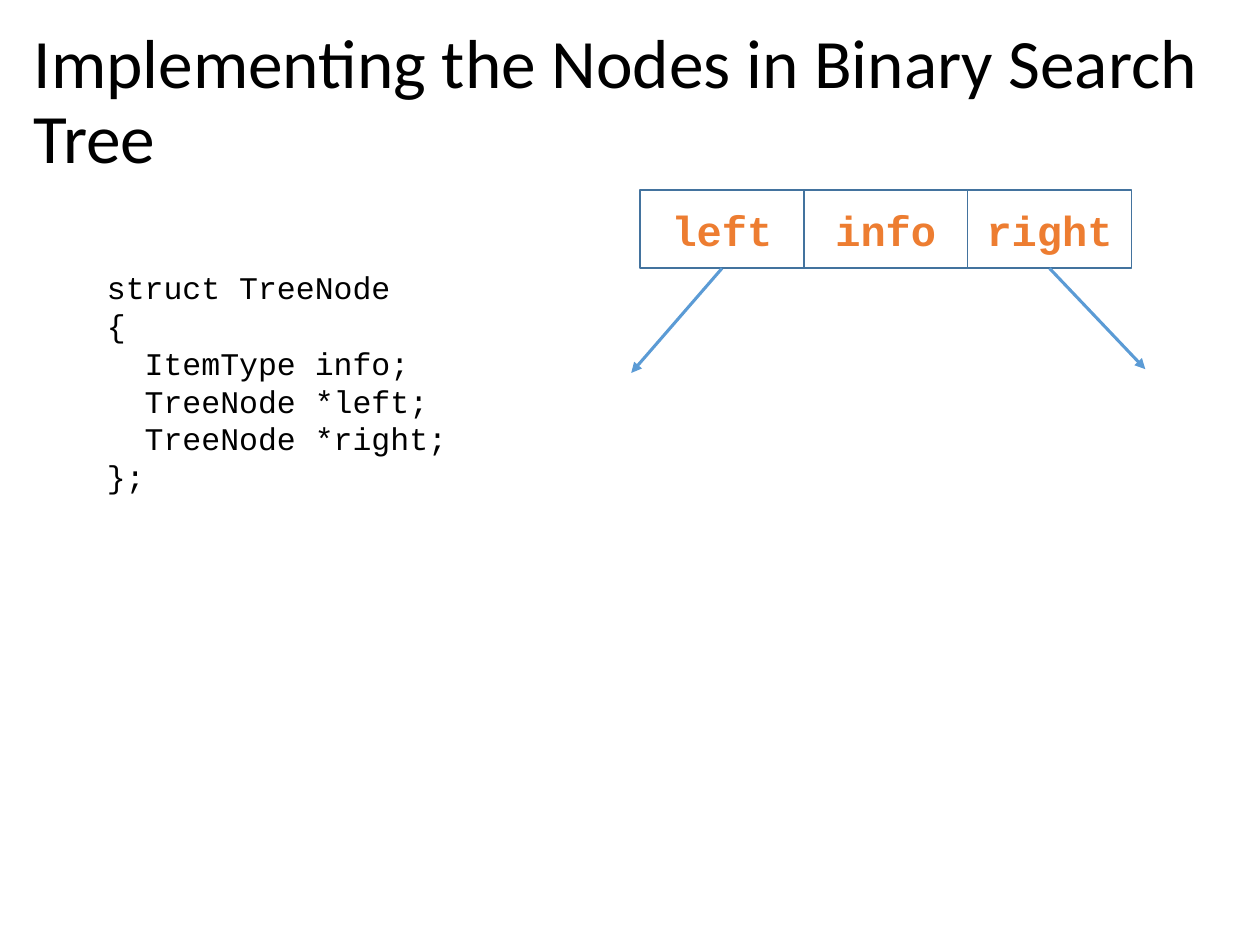
from lxml.etree import SubElement
from pptx import Presentation
from pptx.dml.color import RGBColor
from pptx.enum.shapes import MSO_CONNECTOR, MSO_SHAPE
from pptx.enum.text import MSO_ANCHOR, PP_ALIGN
from pptx.oxml.ns import qn
from pptx.util import Inches, Pt

# Content
TITLE = "Implementing the Nodes in Binary Search Tree"
CODE = [
    "struct TreeNode",
    "{",
    "  ItemType info;",
    "  TreeNode *left;",
    "  TreeNode *right;",
    "};",
]
FIELDS = ["left", "info", "right"]
POINTER_ENDS = {"left": (5.01, 2.96), "right": (9.09, 2.93)}

COLORS = {"text": "000000", "field": "ED7D31", "border": "43739E", "arrow": "5B9BD5"}
NODE_LEFT, NODE_TOP, FIELD_W, FIELD_H = 5.08, 1.51, 1.3, 0.62


def color(name):
    return RGBColor.from_string(COLORS[name])


def set_font(p, name, size, color_name, bold=False):
    p.font.name, p.font.size, p.font.bold = name, Pt(size), bold
    p.font.color.rgb = color(color_name)


def add_text(slide, box, lines, font, size, spacing=1.0):
    tf = slide.shapes.add_textbox(*map(Inches, box)).text_frame
    tf.word_wrap = True
    for i, line in enumerate(lines):
        p = tf.paragraphs[0] if i == 0 else tf.add_paragraph()
        p.text = line
        p.line_spacing = spacing
        set_font(p, font, size, "text")


def add_field(slide, index, name):
    box = (NODE_LEFT + index * FIELD_W, NODE_TOP, FIELD_W, FIELD_H)
    sp = slide.shapes.add_shape(MSO_SHAPE.RECTANGLE, *map(Inches, box))
    sp.shadow.inherit = False
    sp.fill.background()
    sp.line.color.rgb = color("border")
    sp.line.width = Pt(1)
    tf = sp.text_frame
    tf.vertical_anchor = MSO_ANCHOR.MIDDLE
    p = tf.paragraphs[0]
    p.text = name
    p.alignment = PP_ALIGN.CENTER
    set_font(p, "Courier New", 24, "field", bold=True)
    return sp


def add_pointer(slide, field, end):
    x, y = map(Inches, end)
    line = slide.shapes.add_connector(MSO_CONNECTOR.STRAIGHT, x, y, x, y)
    line.begin_connect(field, 2)
    line.line.color.rgb = color("arrow")
    line.line.width = Pt(1.75)
    SubElement(line.line._get_or_add_ln(), qn("a:tailEnd"), type="triangle")
    SubElement(line._element.spPr, qn("a:effectLst"))


prs = Presentation()
prs.slide_width, prs.slide_height = Inches(10), Inches(7.5)
s = prs.slides.add_slide(prs.slide_layouts[6])

# Tree node with its two pointers
boxes = {name: add_field(s, i, name) for i, name in enumerate(FIELDS)}
for name, end in POINTER_ENDS.items():
    add_pointer(s, boxes[name], end)

# Code and title
add_text(s, (0.75, 2.08, 3.03, 1.92), CODE, "Courier New", 18)
add_text(s, (0.17, 0.18, 9.62, 0.74), [TITLE], "Calibri", 39.6, spacing=0.9)

prs.save("out.pptx")
